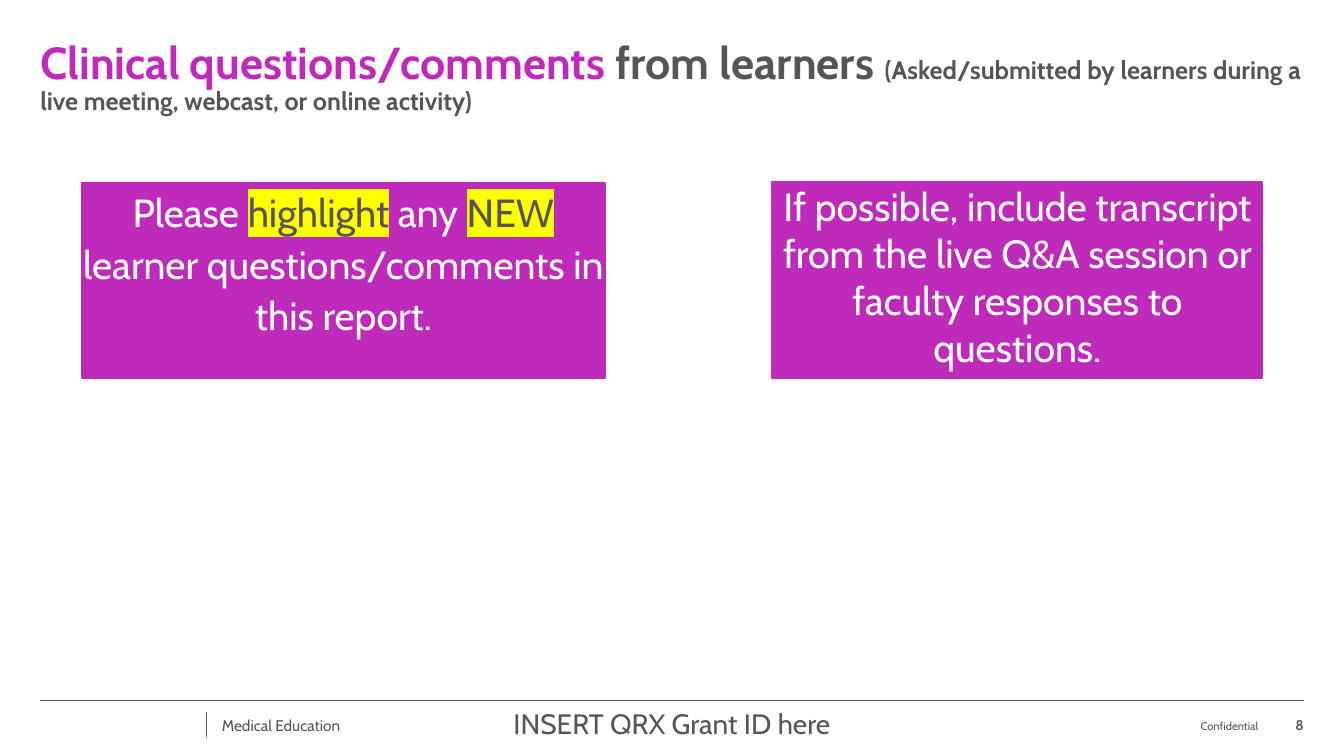
from lxml import etree
from pptx import Presentation
from pptx.dml.color import RGBColor
from pptx.enum.shapes import MSO_CONNECTOR, MSO_SHAPE
from pptx.enum.text import MSO_ANCHOR, PP_ALIGN
from pptx.oxml.ns import qn
from pptx.util import Inches, Pt

LINE, RECT = MSO_CONNECTOR.STRAIGHT, MSO_SHAPE.RECTANGLE
TOP, MIDDLE, BOTTOM = MSO_ANCHOR.TOP, MSO_ANCHOR.MIDDLE, MSO_ANCHOR.BOTTOM
LEFT, CENTER, RIGHT = PP_ALIGN.LEFT, PP_ALIGN.CENTER, PP_ALIGN.RIGHT
GRAY, PURPLE, WHITE, YELLOW = "595454", "BE2BBB", "FFFFFF", "FFFF00"
FONT = "Cabin"
EDGE, SPAN = 0.4, 12.53


def color(code):
    return RGBColor.from_string(code)


def mark(run, code):
    """Highlight a run; its fill must be set first."""
    tag = etree.Element(qn("a:highlight"))
    etree.SubElement(tag, qn("a:srgbClr")).set("val", code)
    run.font.fill  # the fill precedes the highlight in the schema
    run._r.get_or_add_rPr().find(qn("a:solidFill")).addnext(tag)


def write(shape, runs, size, align=LEFT, anchor=TOP, bold=False):
    """Fill a shape with one paragraph of (text, color, size, highlight) runs."""
    frame = shape.text_frame
    frame.word_wrap = True
    frame.vertical_anchor = anchor
    frame.margin_left = frame.margin_right = 0
    frame.margin_top = frame.margin_bottom = 0
    para = frame.paragraphs[0]
    para.alignment = align
    para.font.name, para.font.size, para.font.bold = FONT, Pt(size), bold
    for text, code, small, back in runs:
        run = para.add_run()
        run.text = text
        run.font.color.rgb = color(code)
        if small:
            run.font.size = Pt(small)
        if back:
            mark(run, back)
    return para


def label(slide, box, runs, size, **style):
    shape = slide.shapes.add_textbox(*map(Inches, box))
    return write(shape, runs, size, **style)


def rule(slide, x, y, wide=0, high=0):
    line = slide.shapes.add_connector(
        LINE, Inches(x), Inches(y), Inches(x + wide), Inches(y + high))
    line.line.color.rgb = color(GRAY)
    line.line.width = Pt(0.5)
    etree.SubElement(line._element.spPr, qn("a:effectLst"))


def title(slide, box):
    para = label(slide, box, [
        ("Clinical questions/comments ", PURPLE, None, None),
        ("from learners ", GRAY, None, None),
        ("(Asked/submitted by learners during a live meeting, webcast, "
         "or online activity)", GRAY, 18, None),
    ], 32, bold=True)
    para.line_spacing = 0.9


def panel(slide, box, runs):
    shape = slide.shapes.add_shape(RECT, *map(Inches, box))
    shape.shadow.inherit = False
    shape.fill.solid()
    shape.fill.fore_color.rgb = color(PURPLE)
    shape.line.color.rgb = color(PURPLE)
    shape.line.width = Pt(1.5)
    para = write(shape, runs, 28, align=CENTER)
    para.space_before = Pt(12)
    return para


def footer(slide, x, y, wide):
    end = x + wide
    rule(slide, x, y, wide=wide)
    rule(slide, x + 1.65, y + 0.11, high=0.25)
    label(slide, (x + 1.8, y + 0.12, 1.8, 0.25),
          [("Medical Education", GRAY, None, None)], 11, anchor=MIDDLE)
    label(slide, (x + 3.63, y + 0.06, 5.27, 0.4),
          [("INSERT QRX Grant ID here", GRAY, None, None)], 20, align=CENTER)
    label(slide, (end - 3.96, y + 0.08, 3.51, 0.24),
          [("Confidential", GRAY, None, None)], 8, align=RIGHT, anchor=BOTTOM)
    label(slide, (end - 0.35, y + 0.08, 0.35, 0.25),
          [("8", GRAY, None, None)], 10, align=RIGHT, anchor=BOTTOM, bold=True)


def main():
    deck = Presentation()
    deck.slide_width, deck.slide_height = Inches(13.33), Inches(7.5)
    slide = deck.slides.add_slide(deck.slide_layouts[6])
    title(slide, (EDGE, 0.4, SPAN, 1))
    para = panel(slide, (0.81, 1.82, 5.19, 1.93), [
        ("Please ", WHITE, None, None),
        ("highlight", GRAY, None, YELLOW),
        (" any ", WHITE, None, None),
        ("NEW", GRAY, None, YELLOW),
        (" learner questions/comments in this report.", WHITE, None, None),
    ])
    para.line_spacing, para.space_after = 1.1, Pt(8)
    panel(slide, (7.66, 1.81, 4.86, 1.94), [
        ("If possible, include transcript from the live Q&A session "
         "or faculty responses to questions.", WHITE, None, None),
    ])
    footer(slide, EDGE, 6.95, SPAN)
    deck.save("out.pptx")


if __name__ == "__main__":
    main()
